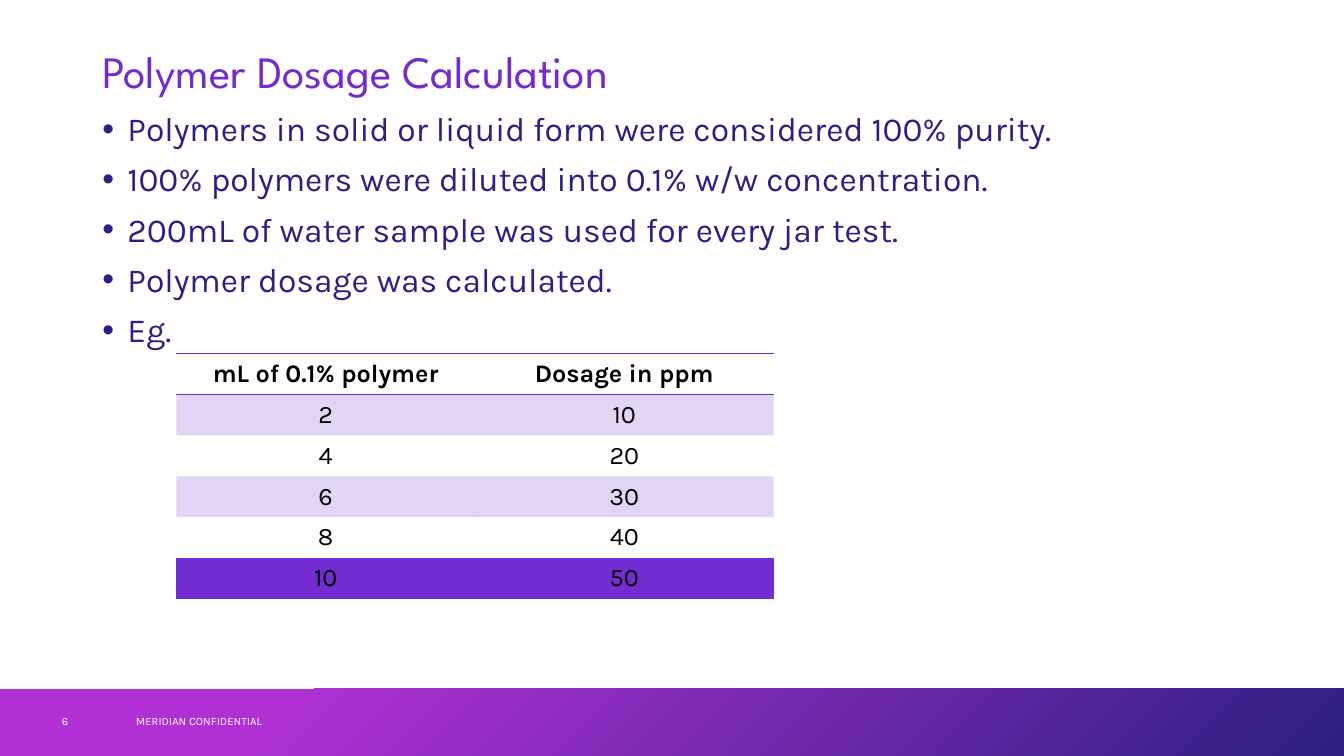
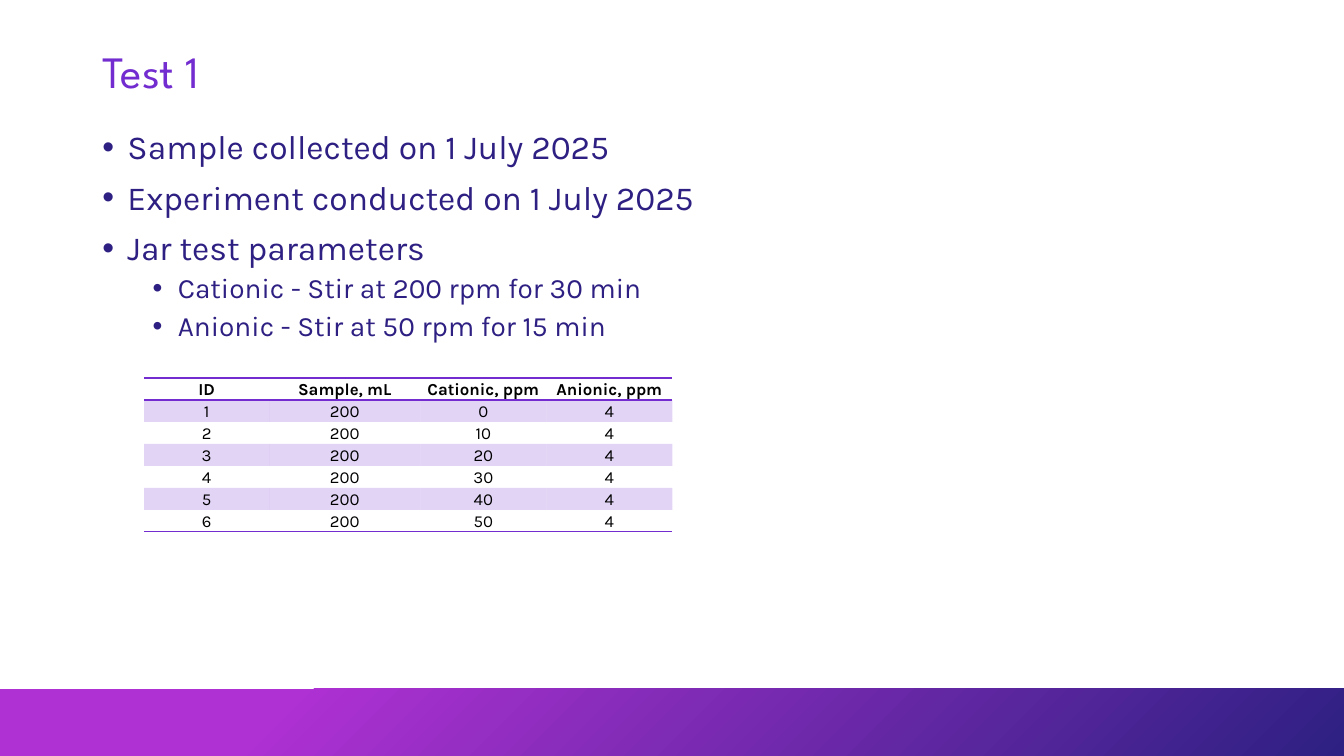
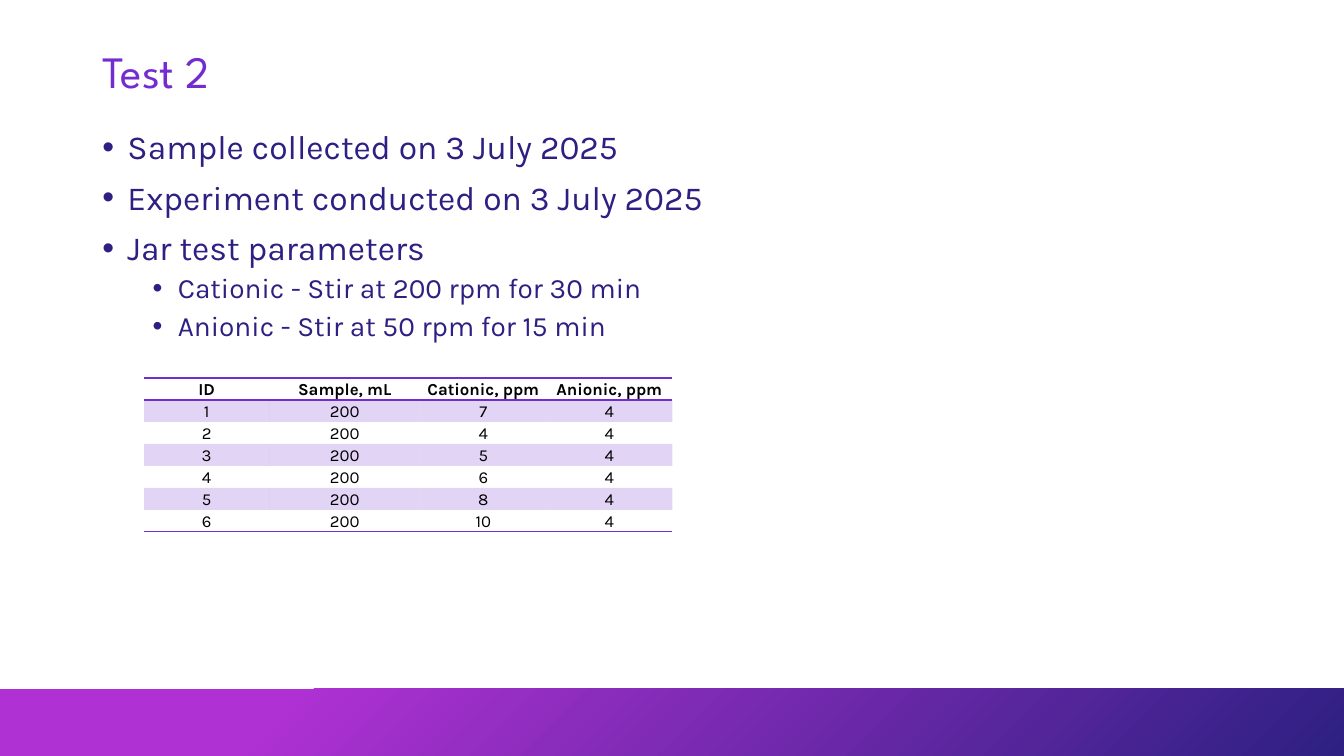
import lxml.etree
import pptx
import pptx.dml.color
import pptx.enum.shapes
import pptx.enum.text
import pptx.oxml.ns
import pptx.util

COLOURS = {
    "title": "722CCF",
    "text": "2D2082",
    "band_start": "AF31D3",
    "band_end": "2D2082",
    "footer": "FFFFFF",
    "table": "722CCF",
    "table_text": "000000",
}
TITLE_FONT = "League Spartan"
BODY_FONT = "Karla"
NO_STYLE_NO_GRID = "{2D5ABB26-0587-4C30-8999-92F81FD0307C}"

# The slide is a grid of 160 columns and 90 rows of square units
COLUMNS, ROWS = 160, 90
SLIDE_WIDTH = pptx.util.Inches(40 / 3)
UNIT = SLIDE_WIDTH / COLUMNS
MARGIN = 11
CONTENT_WIDTH = COLUMNS - 2 * MARGIN
BAND_TOP = 82

# Bullet levels: (size, left indent in inches, space before)
BULLET_LEVELS = [(24, 0.25, 10), (20, 0.75, 5)]


def grid(*units):
    return [round(unit * UNIT) for unit in units]


def rgb(name):
    return pptx.dml.color.RGBColor.from_string(COLOURS[name])


def add_element(parent, tag, **attributes):
    return lxml.etree.SubElement(parent, pptx.oxml.ns.qn(tag), attributes)


def format_runs(paragraph, size, colour, font=BODY_FONT, bold=False):
    for run in paragraph.runs:
        run.font.name = font
        run.font.size = pptx.util.Pt(size)
        run.font.bold = bold
        run.font.color.rgb = rgb(colour)


# Text
def add_text_frame(slide, box, anchor):
    text_frame = slide.shapes.add_textbox(*grid(*box)).text_frame
    text_frame.word_wrap = True
    text_frame.vertical_anchor = anchor
    return text_frame


def add_line(slide, box, text, **style):
    text_frame = add_text_frame(slide, box, pptx.enum.text.MSO_ANCHOR.MIDDLE)
    text_frame.text = text
    paragraph = text_frame.paragraphs[0]
    format_runs(paragraph, **style)
    return paragraph


def add_bullets(slide, top, items):
    box = (MARGIN, top, CONTENT_WIDTH, BAND_TOP - 1 - top)
    text_frame = add_text_frame(slide, box, pptx.enum.text.MSO_ANCHOR.TOP)
    for index, (level, text) in enumerate(items):
        paragraph = text_frame.add_paragraph() if index else text_frame.paragraphs[0]
        size, indent, space_before = BULLET_LEVELS[level]
        paragraph.text = text
        paragraph.level = level
        paragraph.line_spacing = 0.9
        paragraph.space_before = pptx.util.Pt(space_before if index else 0)
        properties = paragraph._p.get_or_add_pPr()
        properties.set("marL", str(pptx.util.Inches(indent)))
        properties.set("indent", str(pptx.util.Inches(-0.25)))
        bullet_colour = add_element(properties, "a:buClr")
        add_element(bullet_colour, "a:srgbClr", val=COLOURS["text"])
        add_element(properties, "a:buFont", typeface="Arial")
        add_element(properties, "a:buChar", char="•")
        format_runs(paragraph, size, "text")


# Tables
def add_border(cell, tag):
    line = add_element(cell._tc.get_or_add_tcPr(), tag, w=str(pptx.util.Pt(1)))
    add_element(add_element(line, "a:solidFill"), "a:srgbClr", val=COLOURS["table"])


def fill_cell(cell, banded):
    if not banded:
        cell.fill.background()
        return
    cell.fill.solid()
    cell.fill.fore_color.rgb = rgb("table")
    colour = cell._tc.tcPr.find(".//" + pptx.oxml.ns.qn("a:srgbClr"))
    add_element(colour, "a:alpha", val="20000")


def add_table(slide, left, top, widths, row_height, rows, size, insets=None):
    box = grid(left, top, sum(widths), row_height * len(rows))
    table = slide.shapes.add_table(len(rows), len(widths), *box).table
    table.first_row = table.horz_banding = False
    style = table._tbl.tblPr.find(pptx.oxml.ns.qn("a:tableStyleId"))
    style.text = NO_STYLE_NO_GRID
    for column, width in zip(table.columns, grid(*widths)):
        column.width = width
    for row_index, values in enumerate(rows):
        table.rows[row_index].height = grid(row_height)[0]
        header = row_index == 0
        for cell, value in zip(table.rows[row_index].cells, values):
            cell.text = str(value)
            cell.vertical_anchor = pptx.enum.text.MSO_ANCHOR.MIDDLE
            if insets:
                (cell.margin_left, cell.margin_top, cell.margin_right,
                 cell.margin_bottom) = [pptx.util.Inches(inset) for inset in insets]
            paragraph = cell.text_frame.paragraphs[0]
            paragraph.alignment = pptx.enum.text.PP_ALIGN.CENTER
            format_runs(paragraph, size, "table_text", bold=header)
            # Borders come before the fill in the cell's properties
            if header:
                add_border(cell, "a:lnT")
            if header or row_index == len(rows) - 1:
                add_border(cell, "a:lnB")
            fill_cell(cell, row_index % 2 == 1)


# Parts shared by the slides
def add_band(slide):
    band = slide.shapes.add_shape(
        pptx.enum.shapes.MSO_SHAPE.RECTANGLE,
        *grid(0, BAND_TOP, COLUMNS, ROWS - BAND_TOP))
    band.shadow.inherit = False
    band.line.fill.background()
    band.fill.gradient()
    band.fill.gradient_angle = 315
    stops = [(0.21, "band_start"), (1, "band_end")]
    for stop, (position, colour) in zip(band.fill.gradient_stops, stops):
        stop.position = position
        stop.color.rgb = rgb(colour)


def add_titled_slide(presentation, title):
    slide = presentation.slides.add_slide(presentation.slide_layouts[6])
    add_band(slide)
    paragraph = add_line(slide, (MARGIN, 4.8, CONTENT_WIDTH, 8), title,
                         size=32, colour="title", font=TITLE_FONT)
    paragraph.line_spacing = 0.9
    return slide


def add_footer(slide, number, text):
    for left, width, words in [(15, 54, text), (6.2, 8.6, number)]:
        add_line(slide, (left, 83.4, width, 4.8), words, size=8, colour="footer")


# Slides
def add_dosage_slide(presentation):
    slide = add_titled_slide(presentation, "Polymer Dosage Calculation")
    add_bullets(slide, 12.8, [
        (0, "Polymers in solid or liquid form were considered 100% purity."),
        (0, "100% polymers were diluted into 0.1% w/w concentration."),
        (0, "200mL of water sample was used for every jar test."),
        (0, "Polymer dosage was calculated."),
        (0, "Eg."),
    ])
    add_footer(slide, "6", "MERIDIAN CONFIDENTIAL")
    rows = [("mL of 0.1% polymer", "Dosage in ppm")]
    rows += [(volume, volume * 5) for volume in range(2, 11, 2)]
    add_table(slide, 21, 42.1, [35.55] * 2, 4.87, rows, 18)


def add_jar_test_slide(presentation, number, date, cationic_doses):
    slide = add_titled_slide(presentation, f"Test {number}")
    add_bullets(slide, 15, [
        (0, f"Sample collected on {date}"),
        (0, f"Experiment conducted on {date}"),
        (0, "Jar test parameters"),
        (1, "Cationic - Stir at 200 rpm for 30 min"),
        (1, "Anionic - Stir at 50 rpm for 15 min"),
    ])
    rows = [("ID", "Sample, mL", "Cationic, ppm", "Anionic, ppm")]
    rows += [(jar, 200, dose, 4) for jar, dose in enumerate(cationic_doses, 1)]
    add_table(slide, 17.15, 45, [14.9, 18, 15, 15], 2.62, rows, 12,
              insets=(0.01, 0.01, 0.01, 0))


def main():
    presentation = pptx.Presentation()
    presentation.slide_width = SLIDE_WIDTH
    presentation.slide_height = grid(ROWS)[0]
    add_dosage_slide(presentation)
    add_jar_test_slide(presentation, 1, "1 July 2025", range(0, 51, 10))
    add_jar_test_slide(presentation, 2, "3 July 2025", [7, 4, 5, 6, 8, 10])
    presentation.save("out.pptx")


if __name__ == "__main__":
    main()
